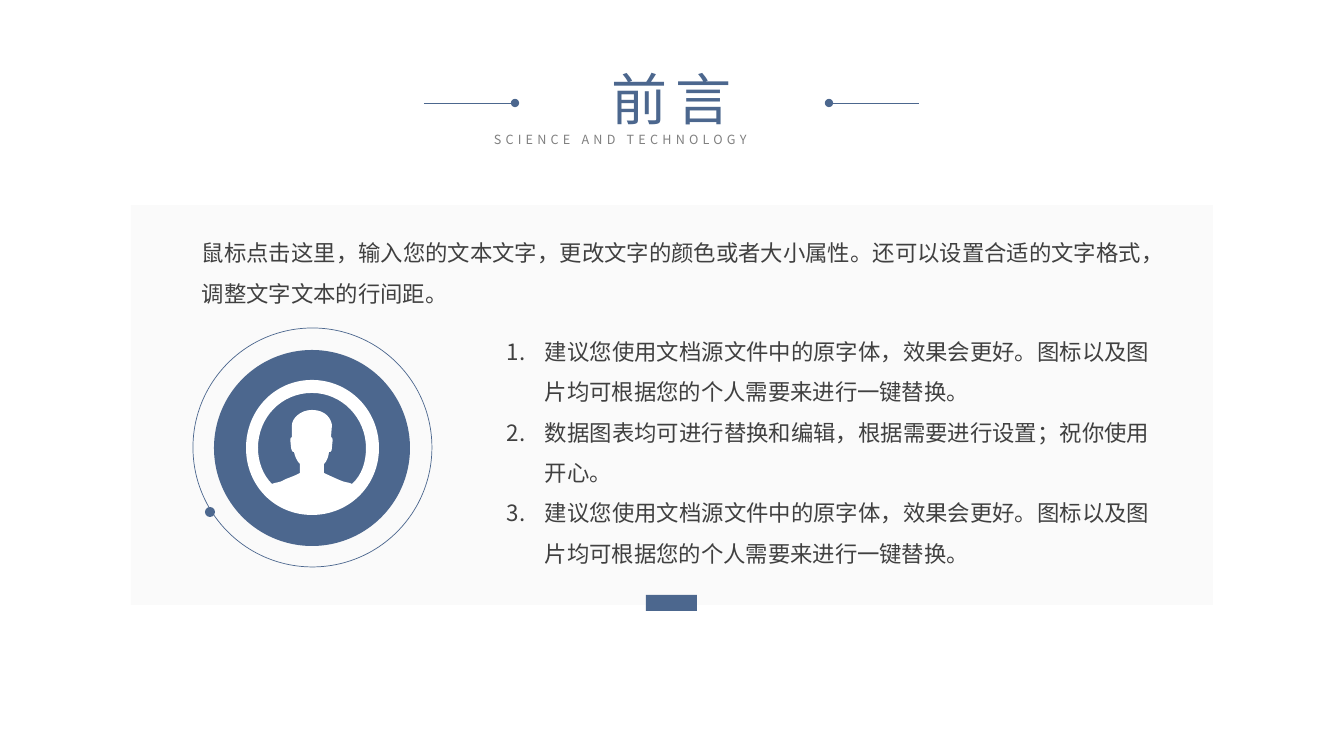
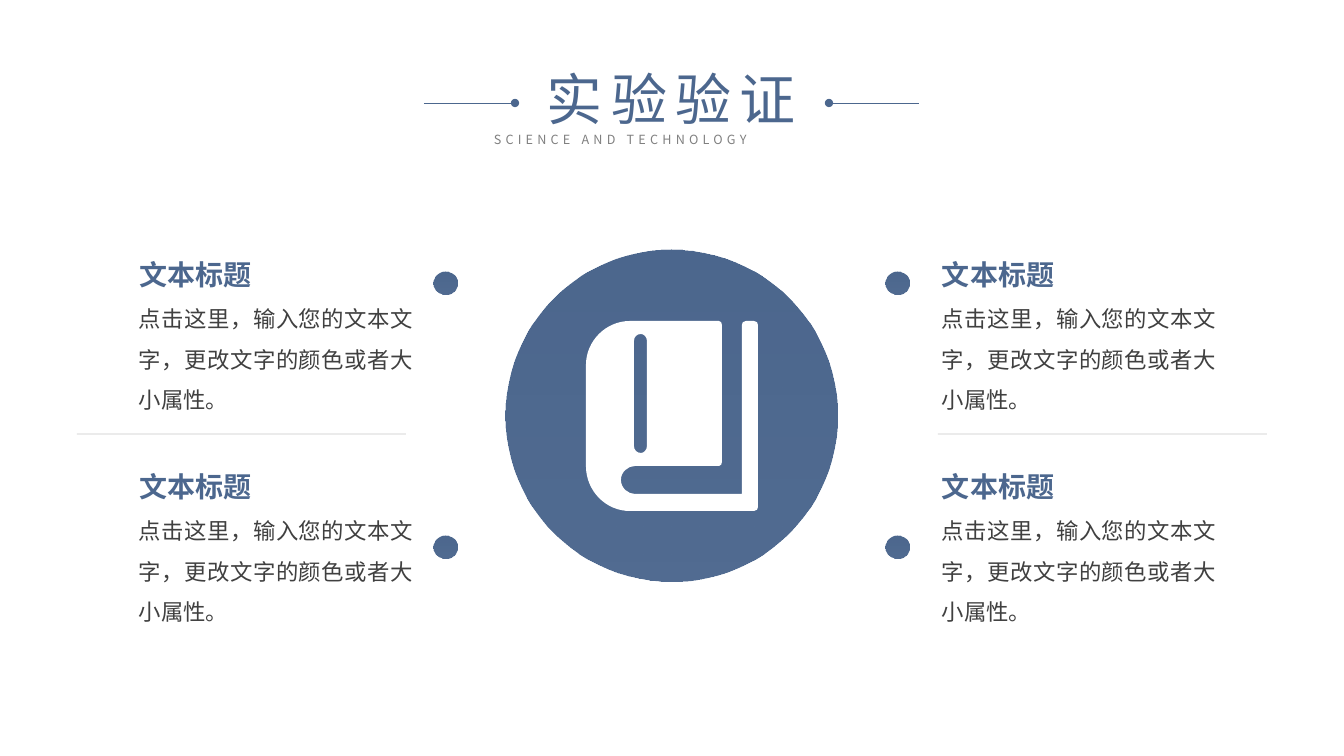
from lxml import etree
from pptx import Presentation
from pptx.dml.color import RGBColor
from pptx.enum.shapes import MSO_CONNECTOR, MSO_SHAPE
from pptx.enum.text import MSO_AUTO_SIZE, PP_ALIGN
from pptx.oxml.ns import qn
from pptx.util import Emu, Pt

RECTANGLE = MSO_SHAPE.RECTANGLE
ELLIPSE = MSO_SHAPE.OVAL
STRAIGHT = MSO_CONNECTOR.STRAIGHT
GROW = MSO_AUTO_SIZE.SHAPE_TO_FIT_TEXT
CENTER = PP_ALIGN.CENTER
JUSTIFY = PP_ALIGN.JUSTIFY

WIDTH, HEIGHT = 1344, 756
SCALE = 12192000 / WIDTH
FONT = "Noto Sans CJK SC"
COLORS = {
    "blue": "4C678E",
    "white": "FFFFFF",
    "panel": "F2F2F2",
    "text": "404040",
    "subtitle": "808080",
    "divider": "A6A6A6",
}
SOLID = (100,)
FADE = (100, 97)


def paint(shape, color, alphas=SOLID):
    """Fill without outline or shadow; two alphas make a vertical gradient."""
    rgb = RGBColor.from_string(COLORS[color])
    shape.shadow.inherit = False
    shape.line.fill.background()
    if len(alphas) == 1:
        shape.fill.solid()
        shape.fill.fore_color.rgb = rgb
    else:
        shape.fill.gradient()
        shape.fill.gradient_angle = 270
        for stop in shape.fill.gradient_stops:
            stop.color.rgb = rgb
    for clr, alpha in zip(shape._element.spPr.iter(qn("a:srgbClr")), alphas):
        if alpha < 100:
            etree.SubElement(clr, qn("a:alpha"), val=str(alpha * 1000))


def add_text(slide, box, lines, size, color, align=JUSTIFY, bold=False,
             spacing=None, tracking=0, numbered=False, inset=True):
    """Add a text box with one paragraph per line; tracking is in points."""
    shape = slide.shapes.add_textbox(*[Emu(round(n * SCALE)) for n in box])
    frame = shape.text_frame
    frame.word_wrap = True
    frame.auto_size = GROW
    if not inset:
        frame.margin_left = frame.margin_right = 0
        frame.margin_top = frame.margin_bottom = 0
    frame.text = "\n".join(lines)
    for paragraph in frame.paragraphs:
        paragraph.alignment = align
        if spacing:
            paragraph.line_spacing = spacing
        font = paragraph.font
        font.size, font.bold, font.name = Pt(size), bold, FONT
        font.color.rgb = RGBColor.from_string(COLORS[color])
        properties = paragraph._p.pPr
        defaults = properties.find(qn("a:defRPr"))
        etree.SubElement(defaults, qn("a:ea"), typeface=FONT)
        if tracking:
            defaults.set("spc", str(tracking * 100))
        if numbered:
            indent = round(38 * SCALE)
            properties.set("marL", str(indent))
            properties.set("indent", str(-indent))
            number = etree.Element(qn("a:buAutoNum"), type="arabicPeriod")
            defaults.addprevious(number)


presentation = Presentation()
presentation.slide_width = Emu(round(WIDTH * SCALE))
presentation.slide_height = Emu(round(HEIGHT * SCALE))
blank = presentation.slide_layouts[6]

# Each line: start x, end x, y, colour, opacity, dot at its end
title_rules = [(424, 515, 103, "blue", 100, True),
               (919, 829, 103, "blue", 100, True)]
dividers = [(77, 406, 434, "divider", 62, False),
            (938, 1267, 434, "divider", 62, False)]

# Each shape: preset, left, top, width, height, colour, opacities
preface_shapes = [
    (RECTANGLE, 131, 205, 1082, 400, "panel", (33,)),
    (RECTANGLE, 646, 595, 51, 16, "blue", SOLID),
    (ELLIPSE, 214, 350, 196, 196, "blue", SOLID),
    (ELLIPSE, 205, 507, 10, 10, "blue", SOLID),
]
experiment_shapes = [(ELLIPSE, 506, 250, 332, 332, "blue", FADE)]
experiment_shapes += [(ELLIPSE, x, y, 23, 23, "blue", FADE)
                      for x in (434, 886) for y in (272, 536)]

# Icon contours: a start point, then lines (x, y) or cubic curves (six numbers)
portrait = [
    [(312, 515), (275, 515, 246, 486, 246, 448), (246, 410, 275, 380, 312, 380),
     (349, 380, 379, 410, 379, 448), (379, 486, 349, 515, 312, 515)],
    [(312, 393), (281, 393, 258, 418, 258, 448), (258, 462, 263, 475, 272, 484),
     (280, 481, 277, 484, 286, 479), (297, 475, 300, 473, 300, 473), (300, 464),
     (300, 464, 296, 461, 294, 452), (292, 453, 291, 448, 291, 447),
     (291, 444, 289, 437, 292, 437), (292, 425), (292, 419, 300, 410, 312, 410),
     (326, 410, 331, 419, 332, 425), (331, 437), (334, 437, 332, 444, 332, 447),
     (332, 448, 332, 453, 329, 452), (328, 461, 324, 464, 324, 464), (324, 473),
     (324, 473, 328, 475, 337, 479), (348, 484, 345, 481, 352, 484),
     (362, 475, 366, 462, 366, 448), (366, 418, 342, 393, 312, 393)],
]
book = [
    [(754, 321), (746, 321), (743, 321, 742, 323, 742, 325), (742, 494),
     (635, 494), (628, 494, 621, 488, 621, 480), (621, 472, 628, 466, 635, 466),
     (719, 466), (721, 466, 722, 464, 722, 462), (722, 325),
     (722, 323, 721, 321, 719, 321), (630, 321),
     (606, 321, 586, 341, 586, 365), (586, 466),
     (586, 491, 606, 511, 630, 511), (754, 511),
     (757, 511, 758, 509, 758, 507), (758, 325),
     (758, 323, 757, 321, 754, 321)],
    [(634, 341), (634, 337, 637, 334, 641, 334), (644, 334, 647, 337, 647, 341),
     (647, 446), (647, 450, 644, 453, 641, 453),
     (637, 453, 634, 450, 634, 446), (634, 341)],
]

slides = []
for title, lines, shapes, icon in [
    ("前言", title_rules, preface_shapes, portrait),
    ("实验验证", title_rules + dividers, experiment_shapes, book),
]:
    slide = presentation.slides.add_slide(blank)
    slides.append(slide)
    add_text(slide, (484, 127, 377, 25), ["SCIENCE AND TECHNOLOGY"], 9,
             "subtitle", tracking=3)
    add_text(slide, (520, 60, 303, 78), [title], 40, "blue", CENTER, tracking=6)

    for start, end, y, color, alpha, dotted in lines:
        connector = slide.shapes.add_connector(
            STRAIGHT, *[Emu(round(n * SCALE)) for n in (start, y, end, y)])
        connector.line.width = Pt(0.5)
        connector.line.color.rgb = RGBColor.from_string(COLORS[color])
        properties = connector._element.spPr
        if alpha < 100:
            clr = next(properties.iter(qn("a:srgbClr")))
            etree.SubElement(clr, qn("a:alpha"), val=str(alpha * 1000))
        if dotted:
            etree.SubElement(properties.find(qn("a:ln")), qn("a:tailEnd"),
                             type="oval")
        etree.SubElement(properties, qn("a:effectLst"))

    for preset, left, top, width, height, color, alphas in shapes:
        shape = slide.shapes.add_shape(
            preset, *[Emu(round(n * SCALE)) for n in (left, top, width, height)])
        paint(shape, color, alphas)

    # Join the end points by lines, then bend the lines that are curves
    start_x, start_y = icon[0][0]
    builder = slide.shapes.build_freeform(start_x, start_y, scale=SCALE)
    for number, contour in enumerate(icon):
        if number:
            builder.move_to(*contour[0])
        builder.add_line_segments([segment[-2:] for segment in contour[1:]])
    drawing = builder.convert_to_shape()
    paint(drawing, "white")
    ends = [segment[-2:] for contour in icon for segment in contour]
    origin_x, origin_y = min(x for x, y in ends), min(y for x, y in ends)
    segments = [segment for contour in icon for segment in contour[1:]]
    edges = list(drawing._element.spPr.iter(qn("a:lnTo")))
    for edge, segment in zip(edges, segments):
        if len(segment) == 6:
            edge.tag = qn("a:cubicBezTo")
            for index, k in enumerate((0, 2)):
                point = etree.Element(qn("a:pt"), x=str(segment[k] - origin_x),
                                      y=str(segment[k + 1] - origin_y))
                edge.insert(index, point)

preface, experiment = slides

orbit = preface.shapes.add_shape(
    ELLIPSE, *[Emu(round(n * SCALE)) for n in (193, 328, 239, 239)])
orbit.shadow.inherit = False
orbit.fill.background()
orbit.line.width = Pt(0.5)
orbit.line.color.rgb = RGBColor.from_string(COLORS["blue"])

add_text(preface, (192, 221, 960, 87),
         ["鼠标点击这里，输入您的文本文字，更改文字的颜色或者大小属性。还可以设置合适的文字格式，调整文字文本的行间距。"],
         16, "text", spacing=1.5)
font_advice = "建议您使用文档源文件中的原字体，效果会更好。图标以及图片均可根据您的个人需要来进行一键替换。"
chart_advice = "数据图表均可进行替换和编辑，根据需要进行设置；祝你使用开心。"
add_text(preface, (497, 320, 663, 254), [font_advice, chart_advice, font_advice],
         16, "text", spacing=1.5, numbered=True)

for left in (139, 942):
    for top in (241, 453):
        add_text(experiment, (left, top, 124, 45), ["文本标题"], 20, "blue",
                 bold=True, spacing=1.5, inset=False)
        add_text(experiment, (left, top + 51, 274, 117),
                 ["点击这里，输入您的文本文字，更改文字的颜色或者大小属性。"],
                 16, "text", spacing=1.5, inset=False)

presentation.save("out.pptx")
